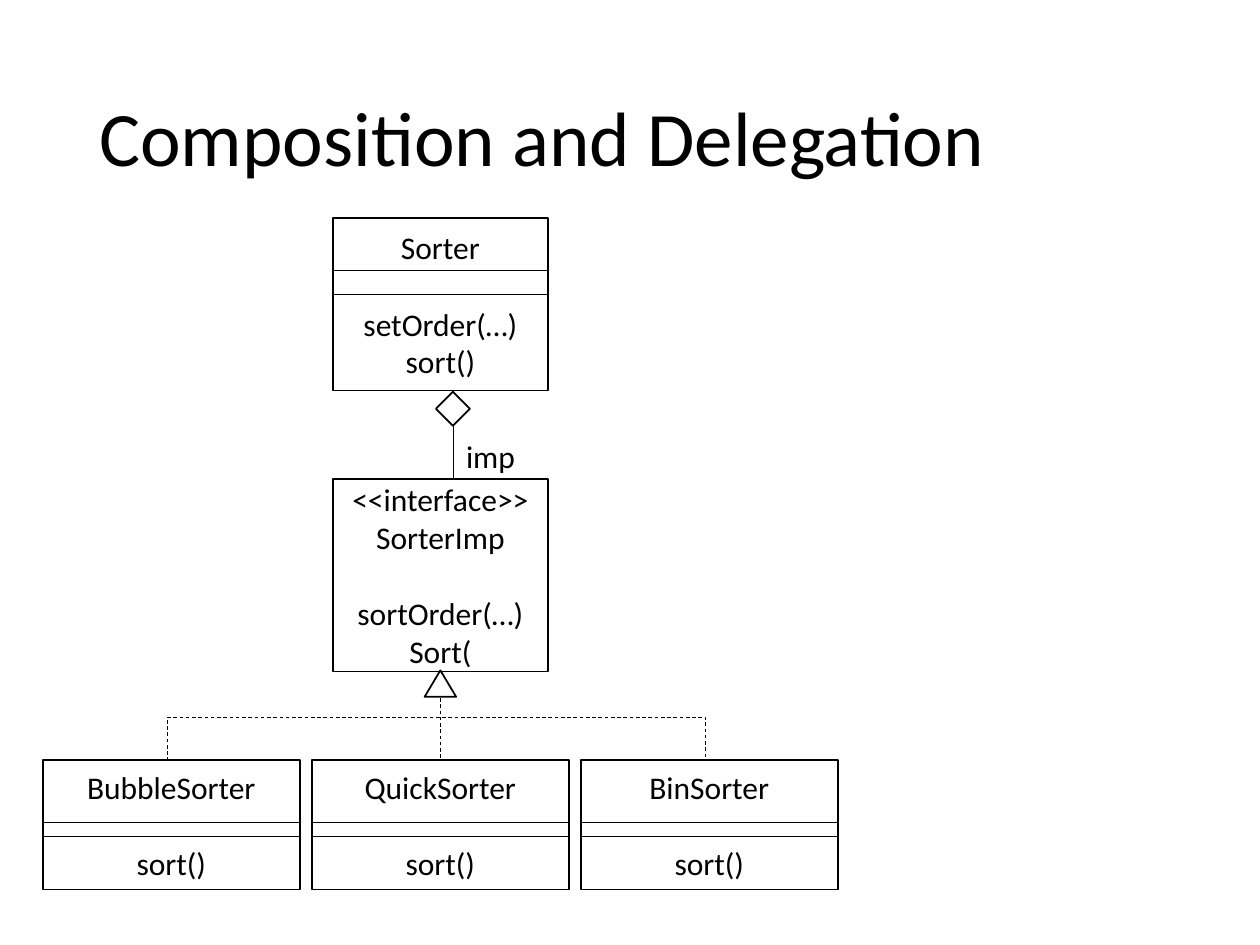
from pptx import Presentation
from pptx.dml.color import RGBColor
from pptx.enum.dml import MSO_LINE as Dash
from pptx.enum.shapes import MSO_CONNECTOR as Link, MSO_SHAPE as Form
from pptx.enum.text import MSO_ANCHOR as Anchor, MSO_AUTO_SIZE as Fit, PP_ALIGN as Align
from pptx.oxml.ns import qn
from pptx.util import Inches, Pt
from lxml.etree import SubElement

# Content: name lines, then method lines
TITLE = "Composition and Delegation"
ROLE = "imp"
OWNER = (["Sorter"], ["setOrder(…)", "sort()"])
IMP = (["<<interface>>", "SorterImp"], ["sortOrder(…)", "Sort("])
KINDS = [([name], ["sort()"]) for name in ("BubbleSorter", "QuickSorter", "BinSorter")]

THEME = {
    "font": "Calibri", "ink": RGBColor(0, 0, 0), "paper": RGBColor(255, 255, 255),
    "head": 44, "body": 18, "gap": 22, "edge": 1, "rule": 0.5,
}

# Layout in inches
LEFT, WIDE = 2.64, 1.71
KID_LEFT, KID_TOP, KID_WIDE, KID_HIGH, KID_STEP = 0.34, 6.03, 2.04, 1.03, 2.135
MID = LEFT + WIDE / 2
STEM = 3.6

deck = Presentation()
deck.slide_width, deck.slide_height = Inches(10), Inches(7.5)
slide = deck.slides.add_slide(deck.slide_layouts[6])
shapes = slide.shapes


def write(para, text, size):
    run = para.add_run()
    run.text = text
    run.font.name, run.font.size = THEME["font"], Pt(size)
    run.font.color.rgb = THEME["ink"]


def draw(form, *area):
    shape = shapes.add_shape(form, *map(Inches, area))
    shape.shadow.inherit = False
    shape.fill.solid()
    shape.fill.fore_color.rgb = THEME["paper"]
    shape.line.color.rgb = THEME["ink"]
    shape.line.width = Pt(THEME["edge"])
    return shape


def style(line, dash=None):
    line.color.rgb = THEME["ink"]
    line.width = Pt(THEME["rule"])
    if dash:
        line.dash_style = dash


def join(x1, y1, x2, y2, dash=None):
    link = shapes.add_connector(Link.STRAIGHT, *map(Inches, (x1, y1, x2, y2)))
    SubElement(link._element.spPr, qn("a:effectLst"))
    style(link.line, dash)


def label(text, size, *area):
    box = shapes.add_textbox(*map(Inches, area))
    frame = box.text_frame
    frame.word_wrap = True
    write(frame.paragraphs[0], text, size)
    return frame


def card(parts, area, rules=()):
    """Class box: names, a one-line gap, methods, and divider lines."""
    names, calls = parts
    frame = draw(Form.RECTANGLE, *area).text_frame
    frame.word_wrap, frame.vertical_anchor = True, Anchor.MIDDLE
    for i, text in enumerate(names + calls):
        para = frame.paragraphs[0] if i == 0 else frame.add_paragraph()
        para.alignment = Align.CENTER
        if i == len(names):
            para.space_before = Pt(THEME["gap"])
        write(para, text, THEME["body"])
    x, _, wide, _ = area
    for y in rules:
        join(x, y, x + wide, y)


# Title
head = label(TITLE, THEME["head"], 0.69, 0.4, 8.62, 1.45)
head.vertical_anchor = Anchor.MIDDLE
head.paragraphs[0].line_spacing = 0.9

# Owner and interface
card(OWNER, (LEFT, 1.73, WIDE, 1.37), (2.15, 2.34))
card(IMP, (LEFT, 3.8, WIDE, 1.53))

# Aggregation
draw(Form.DIAMOND, STEM - 0.14, 3.11, 0.27, 0.27)
join(STEM, 3.38, STEM, 3.8)
label(ROLE, THEME["body"], STEM, 3.42, 0.75, 0.4).auto_size = Fit.SHAPE_TO_FIT_TEXT

# Implementing classes
for i, kind in enumerate(KINDS):
    card(kind, (KID_LEFT + i * KID_STEP, KID_TOP, KID_WIDE, KID_HIGH), (6.53, 6.64))

# Realization: stem, arrowhead and branches
join(MID, 5.54, MID, KID_TOP, Dash.DASH)
draw(Form.ISOSCELES_TRIANGLE, MID - 0.125, 5.32, 0.25, 0.21)
start, *rest = [(Inches(x), Inches(y)) for x, y in
                ((1.33, 6.04), (1.33, 5.69), (5.6, 5.69), (5.6, 6.04))]
path = shapes.build_freeform(*start)
path.add_line_segments(rest, close=False)
fork = path.convert_to_shape()
fork.shadow.inherit = False
fork.fill.background()
style(fork.line, Dash.DASH)

deck.save("out.pptx")
